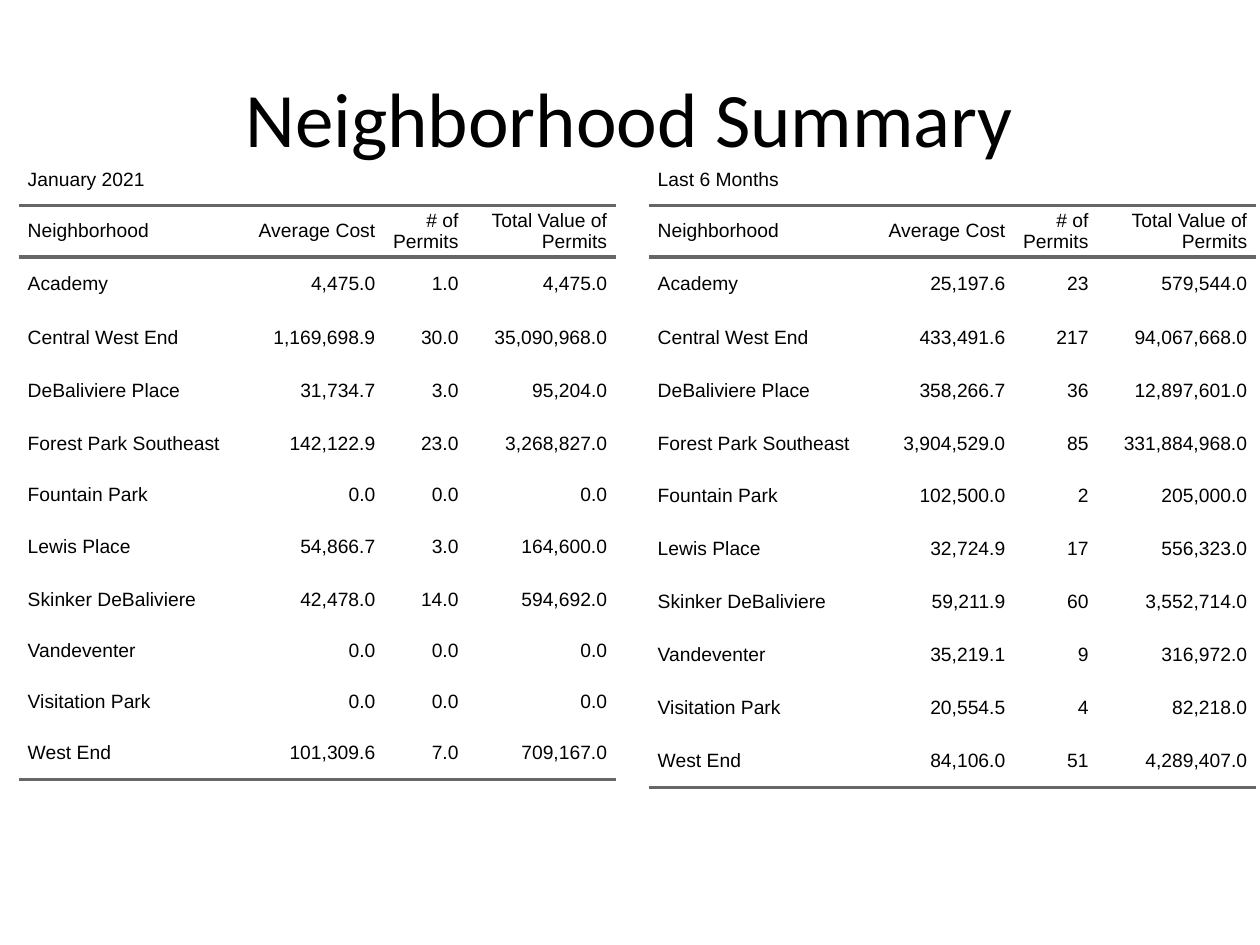
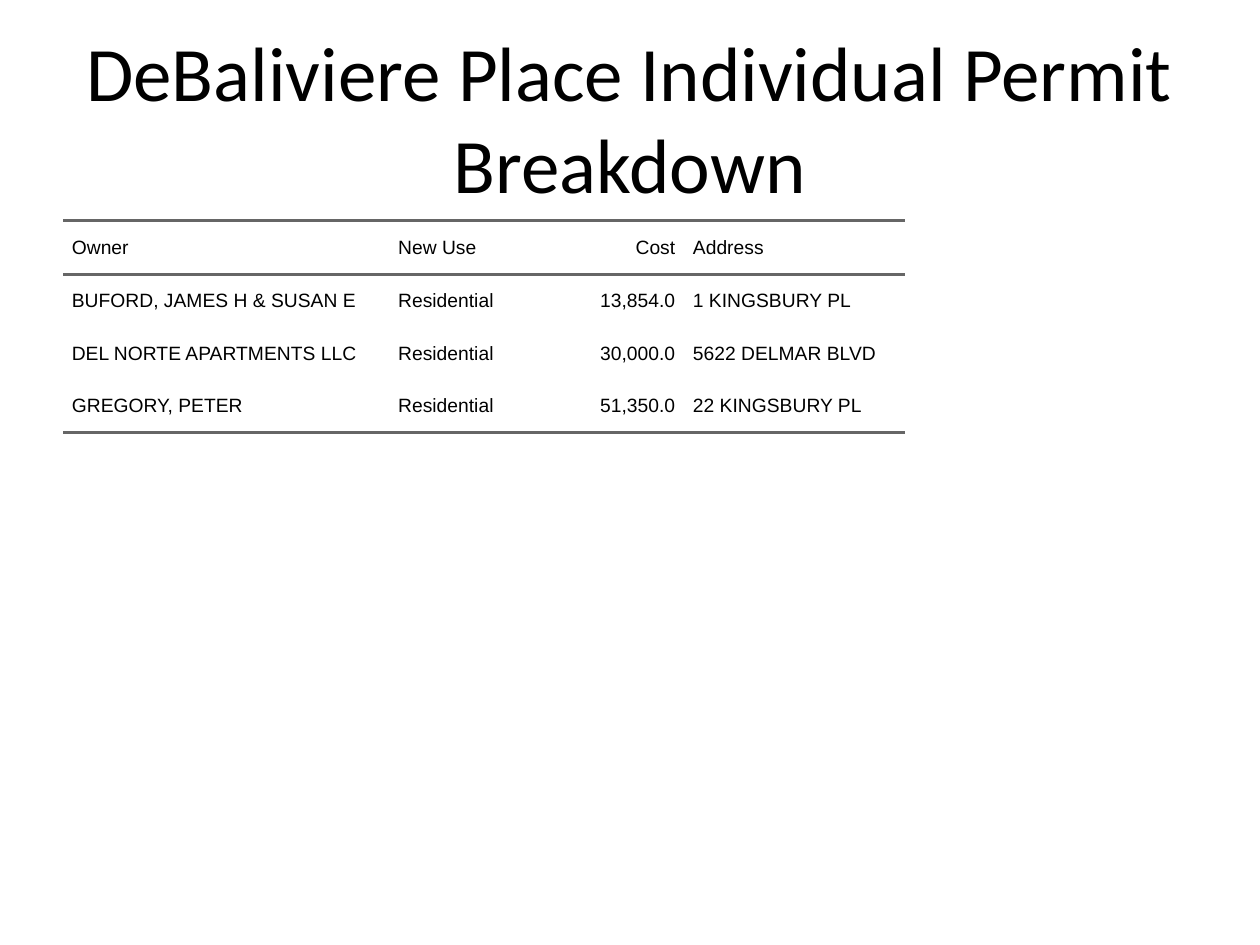
import lxml.etree
import pptx
import pptx.dml.color
import pptx.enum.text
import pptx.oxml.ns
import pptx.util

Inches = pptx.util.Inches
Pt = pptx.util.Pt
ALIGN = pptx.enum.text.PP_ALIGN
MIDDLE = pptx.enum.text.MSO_ANCHOR.MIDDLE

# Shared look
BLACK = pptx.dml.color.RGBColor(0x00, 0x00, 0x00)
RULE_GRAY = pptx.dml.color.RGBColor(0x66, 0x66, 0x66)
TITLE_FONT, TABLE_FONT = "Calibri", "Arial"
TITLE_BOX = (0.5, 0.3, 9, 1.25)
RULE_WIDTH = Pt(2)
CELL_INDENT = Inches(0.07)
PLAIN_TABLE_STYLE = "{2D5ABB26-0587-4C30-8999-92F81FD0307C}"
TITLE_ONLY_LAYOUT = 5

# Neighborhood summary
SUMMARY_HEADER = ["Neighborhood", "Average Cost", "# of Permits", "Total Value of Permits"]
SUMMARY_ALIGNMENTS = [ALIGN.LEFT, ALIGN.RIGHT, ALIGN.RIGHT, ALIGN.RIGHT]
SUMMARY_COLUMNS = [1.81, 1.09, 0.66]
NEIGHBORHOODS = [
    "Academy", "Central West End", "DeBaliviere Place", "Forest Park Southeast",
    "Fountain Park", "Lewis Place", "Skinker DeBaliviere", "Vandeventer",
    "Visitation Park", "West End",
]
JANUARY = [
    ("4,475.0", "1.0", "4,475.0"),
    ("1,169,698.9", "30.0", "35,090,968.0"),
    ("31,734.7", "3.0", "95,204.0"),
    ("142,122.9", "23.0", "3,268,827.0"),
    ("0.0", "0.0", "0.0"),
    ("54,866.7", "3.0", "164,600.0"),
    ("42,478.0", "14.0", "594,692.0"),
    ("0.0", "0.0", "0.0"),
    ("0.0", "0.0", "0.0"),
    ("101,309.6", "7.0", "709,167.0"),
]
SIX_MONTHS = [
    ("25,197.6", "23", "579,544.0"),
    ("433,491.6", "217", "94,067,668.0"),
    ("358,266.7", "36", "12,897,601.0"),
    ("3,904,529.0", "85", "331,884,968.0"),
    ("102,500.0", "2", "205,000.0"),
    ("32,724.9", "17", "556,323.0"),
    ("59,211.9", "60", "3,552,714.0"),
    ("35,219.1", "9", "316,972.0"),
    ("20,554.5", "4", "82,218.0"),
    ("84,106.0", "51", "4,289,407.0"),
]
JANUARY_HEIGHTS = [0.41, 0.41, 0.43, 0.42, 0.42, 0.42, 0.4, 0.42, 0.42, 0.4, 0.4, 0.42]
SIX_MONTH_HEIGHTS = [0.41, 0.41, 0.43] + [0.42] * 9

# Individual permits
PERMITS = [
    ("Owner", "New Use", "Cost", "Address"),
    ("BUFORD, JAMES H & SUSAN E", "Residential", "13,854.0", "1 KINGSBURY PL"),
    ("DEL NORTE APARTMENTS LLC", "Residential", "30,000.0", "5622 DELMAR BLVD"),
    ("GREGORY, PETER", "Residential", "51,350.0", "22 KINGSBURY PL"),
]
PERMIT_ALIGNMENTS = [ALIGN.LEFT, ALIGN.LEFT, ALIGN.RIGHT, ALIGN.LEFT]
PERMIT_COLUMNS = [2.59, 1.04, 1.3, 1.75]
PERMIT_HEIGHTS = [0.43, 0.42, 0.41, 0.42]


def write_text(text_frame, text, font=TABLE_FONT, size=11, color=BLACK, align=ALIGN.LEFT, indent=0):
    paragraph = text_frame.paragraphs[0]
    paragraph.alignment = align
    if indent:
        properties = paragraph._p.get_or_add_pPr()
        for name, value in (("marL", indent), ("marR", indent), ("indent", 0)):
            properties.set(name, str(value))
    run = paragraph.add_run()
    run.text = text
    run.font.name = font
    run.font.size = Pt(size)
    run.font.color.rgb = color


def draw_rules(cell, edges):
    """Rule the given edges ("lnT", "lnB") of a cell, top before bottom."""
    properties = cell._tc.get_or_add_tcPr()
    for position, edge in enumerate(edges):
        line = lxml.etree.Element(pptx.oxml.ns.qn(f"a:{edge}"), w=str(RULE_WIDTH))
        fill = lxml.etree.SubElement(line, pptx.oxml.ns.qn("a:solidFill"))
        lxml.etree.SubElement(fill, pptx.oxml.ns.qn("a:srgbClr"), val=str(RULE_GRAY))
        properties.insert(position, line)


def add_titled_slide(presentation, title):
    slide = presentation.slides.add_slide(presentation.slide_layouts[TITLE_ONLY_LAYOUT])
    shape = slide.shapes.title
    shape.left, shape.top, shape.width, shape.height = map(Inches, TITLE_BOX)
    shape.text_frame.vertical_anchor = MIDDLE
    shape.text_frame.word_wrap = True
    write_text(shape.text_frame, title, font=TITLE_FONT, size=44, align=ALIGN.CENTER)
    return slide


def add_ruled_table(slide, left, top, rows, columns, heights, alignments, header_row=0):
    """Table ruled above and below its header row and under its last row."""
    frame = slide.shapes.add_table(
        len(rows), len(columns), Inches(left), Inches(top),
        Inches(sum(columns)), Inches(sum(heights)))
    table = frame.table
    table.first_row = table.horz_banding = False
    table._tbl.tblPr.find(pptx.oxml.ns.qn("a:tableStyleId")).text = PLAIN_TABLE_STYLE
    for column, width in zip(table.columns, columns):
        column.width = Inches(width)
    for row, height in zip(table.rows, heights):
        row.height = Inches(height)

    edges = {header_row: ("lnT", "lnB"), len(rows) - 1: ("lnB",)}
    for row_index, texts in enumerate(rows):
        for column_index in range(len(columns)):
            cell = table.cell(row_index, column_index)
            cell.margin_left = cell.margin_right = cell.margin_top = cell.margin_bottom = 0
            cell.vertical_anchor = MIDDLE
            cell.fill.background()
            draw_rules(cell, edges.get(row_index, ()))
            if column_index < len(texts):
                write_text(cell.text_frame, texts[column_index],
                           align=alignments[column_index], indent=CELL_INDENT)
    # A caption row spans the whole table
    if header_row:
        table.cell(0, 0).merge(table.cell(0, len(columns) - 1))


def add_summary_table(slide, left, caption, figures, heights, value_width):
    rows = [[caption], SUMMARY_HEADER]
    rows += [(name, *values) for name, values in zip(NEIGHBORHOODS, figures)]
    add_ruled_table(slide, left, 1.22, rows, SUMMARY_COLUMNS + [value_width],
                    heights, SUMMARY_ALIGNMENTS, header_row=1)


def build_summary_slide(presentation):
    slide = add_titled_slide(presentation, "Neighborhood Summary")
    add_summary_table(slide, 0.15, "January 2021", JANUARY, JANUARY_HEIGHTS, 1.18)
    add_summary_table(slide, 5.15, "Last 6 Months", SIX_MONTHS, SIX_MONTH_HEIGHTS, 1.26)


def build_permit_slide(presentation):
    slide = add_titled_slide(presentation, "DeBaliviere Place Individual Permit Breakdown")
    add_ruled_table(slide, 0.5, 1.75, PERMITS, PERMIT_COLUMNS, PERMIT_HEIGHTS, PERMIT_ALIGNMENTS)


def main():
    presentation = pptx.Presentation()
    presentation.slide_width = Inches(10)
    presentation.slide_height = Inches(7.5)
    build_summary_slide(presentation)
    build_permit_slide(presentation)
    presentation.save("out.pptx")


if __name__ == "__main__":
    main()
